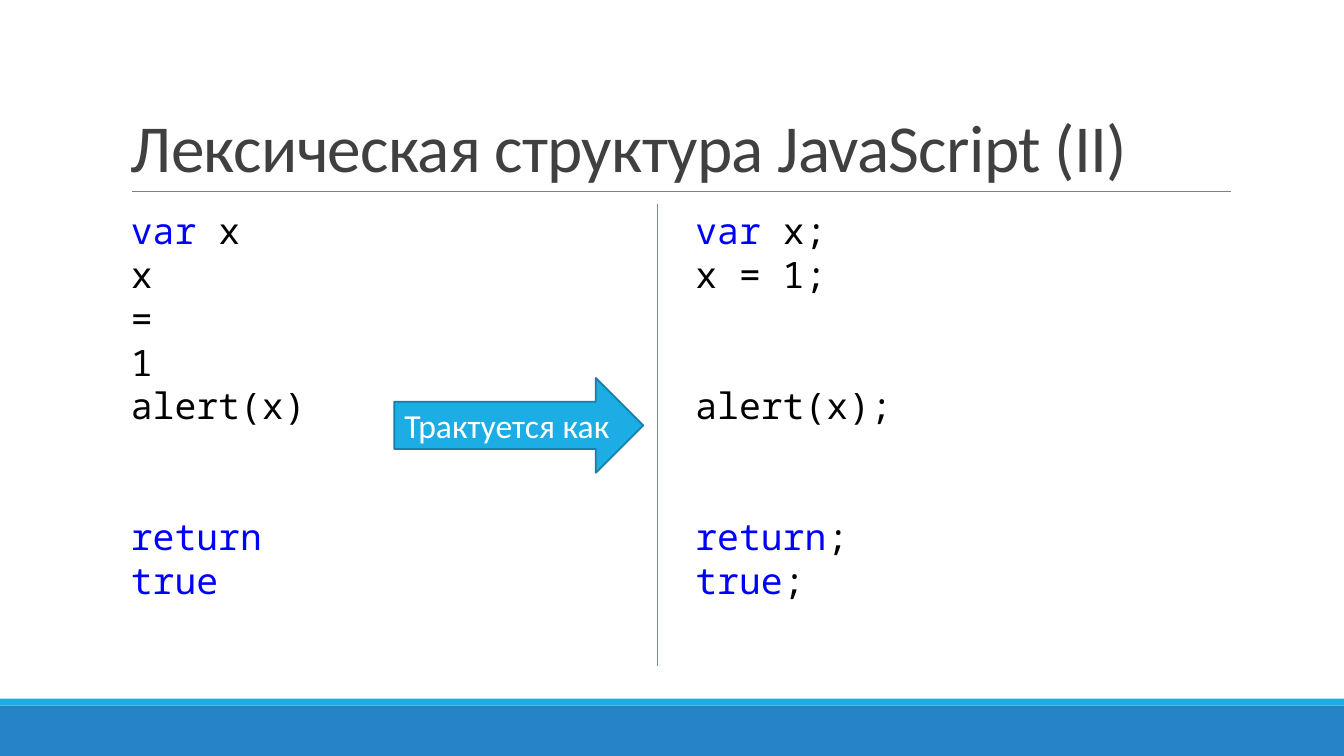
import dataclasses

import pptx
import pptx.dml.color
import pptx.enum.shapes
import pptx.enum.text
import pptx.oxml
import pptx.oxml.ns
import pptx.util

SHAPE = pptx.enum.shapes.MSO_SHAPE
ANCHOR = pptx.enum.text.MSO_ANCHOR
ALIGN = pptx.enum.text.PP_ALIGN
Pt = pptx.util.Pt
WIDTH = pptx.util.Inches(13.33)
HEIGHT = pptx.util.Inches(7.5)


@dataclasses.dataclass(frozen=True)
class Theme:
    accent: str = "1CADE4"
    accent_dark: str = "1580A9"
    footer: str = "2683C6"
    rule: str = "808080"
    title: str = "404040"
    keyword: str = "0000FF"
    code: str = "000000"
    light: str = "FFFFFF"
    text_font: str = "Calibri"
    code_font: str = "Noto Sans Mono"
    title_size: float = 48
    label_size: float = 24
    code_size: float = 26
    code_pitch: float = 31.2


THEME = Theme()
KEYWORDS = ("var", "return", "true")

# Percent of the slide's width and height
LEFT, CONTENT_WIDTH, GUTTER = 9, 82.5, 1.5
CODE_WIDTH = (CONTENT_WIDTH - GUTTER) / 2
CODE_TOP, CODE_HEIGHT = 26.93, 58.67

# Code lines by row; rows left out stay empty
SOURCE_CODE = {0: "var x", 1: "x", 2: "=", 3: "1", 4: "alert(x)",
               7: "return", 8: "true"}
PARSED_CODE = {0: "var x;", 1: "x = 1;", 4: "alert(x);",
               7: "return;", 8: "true;"}


def rgb(value):
    return pptx.dml.color.RGBColor.from_string(value)


def place(*shares):
    """Turn alternating x and y percentages into slide lengths."""
    return [round(share / 100 * (HEIGHT if i % 2 else WIDTH))
            for i, share in enumerate(shares)]


def set_font(font, name, size, color):
    font.name, font.size = name, Pt(size)
    font.color.rgb = rgb(color)


def add_box(slide, kind, at, fill, line=None):
    sp = slide.shapes.add_shape(kind, *place(*at))
    sp.shadow.inherit = False
    sp.fill.solid()
    sp.fill.fore_color.rgb = rgb(fill)
    if line:
        sp.line.color.rgb = rgb(line)
        sp.line.width = Pt(1.25)
    else:
        sp.line.fill.background()
    return sp


def add_line(slide, ends, color, weight):
    line = slide.shapes.add_connector(
        pptx.enum.shapes.MSO_CONNECTOR.STRAIGHT, *place(*ends))
    line.line.color.rgb = rgb(color)
    line.line.width = Pt(weight)
    line._element.spPr.append(pptx.oxml.parse_xml(
        "<a:effectLst %s/>" % pptx.oxml.ns.nsdecls("a")))


def add_text_frame(slide, at, anchor):
    tf = slide.shapes.add_textbox(*place(*at)).text_frame
    tf.word_wrap = True
    tf.vertical_anchor = anchor
    return tf


def add_title(slide, text):
    tf = add_text_frame(slide, (LEFT, 4.13, CONTENT_WIDTH, 21.2), ANCHOR.BOTTOM)
    p = tf.paragraphs[0]
    p.line_spacing = 0.85
    r = p.add_run()
    r.text = text
    set_font(r.font, THEME.text_font, THEME.title_size, THEME.title)
    r._r.get_or_add_rPr().set("spc", "-50")


def split_keyword(text):
    """Split a code line into its leading keyword, if any, and the rest."""
    word = next((k for k in KEYWORDS if text.startswith(k)), "")
    return (word, THEME.keyword), (text[len(word):], THEME.code)


def add_code(slide, column, lines):
    left = LEFT + column * (CODE_WIDTH + GUTTER)
    tf = add_text_frame(slide, (left, CODE_TOP, CODE_WIDTH, CODE_HEIGHT),
                        ANCHOR.TOP)
    previous = -1
    for row, text in lines.items():
        p = tf.add_paragraph() if row else tf.paragraphs[0]
        p.line_spacing = Pt(THEME.code_pitch)
        p.space_before = Pt((row - previous - 1) * THEME.code_pitch)
        previous = row
        for part, color in split_keyword(text):
            if part:
                r = p.add_run()
                r.text = part
                set_font(r.font, THEME.code_font, THEME.code_size, color)


def add_arrow(slide, text):
    sp = add_box(slide, SHAPE.RIGHT_ARROW, (29.33, 50, 18.53, 12.53),
                 THEME.accent, THEME.accent_dark)
    tf = sp.text_frame
    tf.word_wrap = False
    tf.vertical_anchor = ANCHOR.MIDDLE
    p = tf.paragraphs[0]
    p.text = text
    p.alignment = ALIGN.CENTER
    set_font(p.font, THEME.text_font, THEME.label_size, THEME.light)


def main():
    prs = pptx.Presentation()
    prs.slide_width, prs.slide_height = WIDTH, HEIGHT
    slide = prs.slides.add_slide(prs.slide_layouts[6])

    add_box(slide, SHAPE.RECTANGLE, (0, 93.33, 100, 6.67), THEME.footer)
    add_box(slide, SHAPE.RECTANGLE, (0, 92.4, 100, 0.93), THEME.accent)
    add_line(slide, (9.83, 25.33, 91.6, 25.33), THEME.rule, 0.5)
    add_title(slide, "Лексическая структура JavaScript (II)")
    for column, lines in enumerate((SOURCE_CODE, PARSED_CODE)):
        add_code(slide, column, lines)
    add_line(slide, (48.91, CODE_TOP, 48.91, 88.13), THEME.accent, 1)
    add_arrow(slide, "Трактуется как")

    prs.save("out.pptx")


if __name__ == "__main__":
    main()
